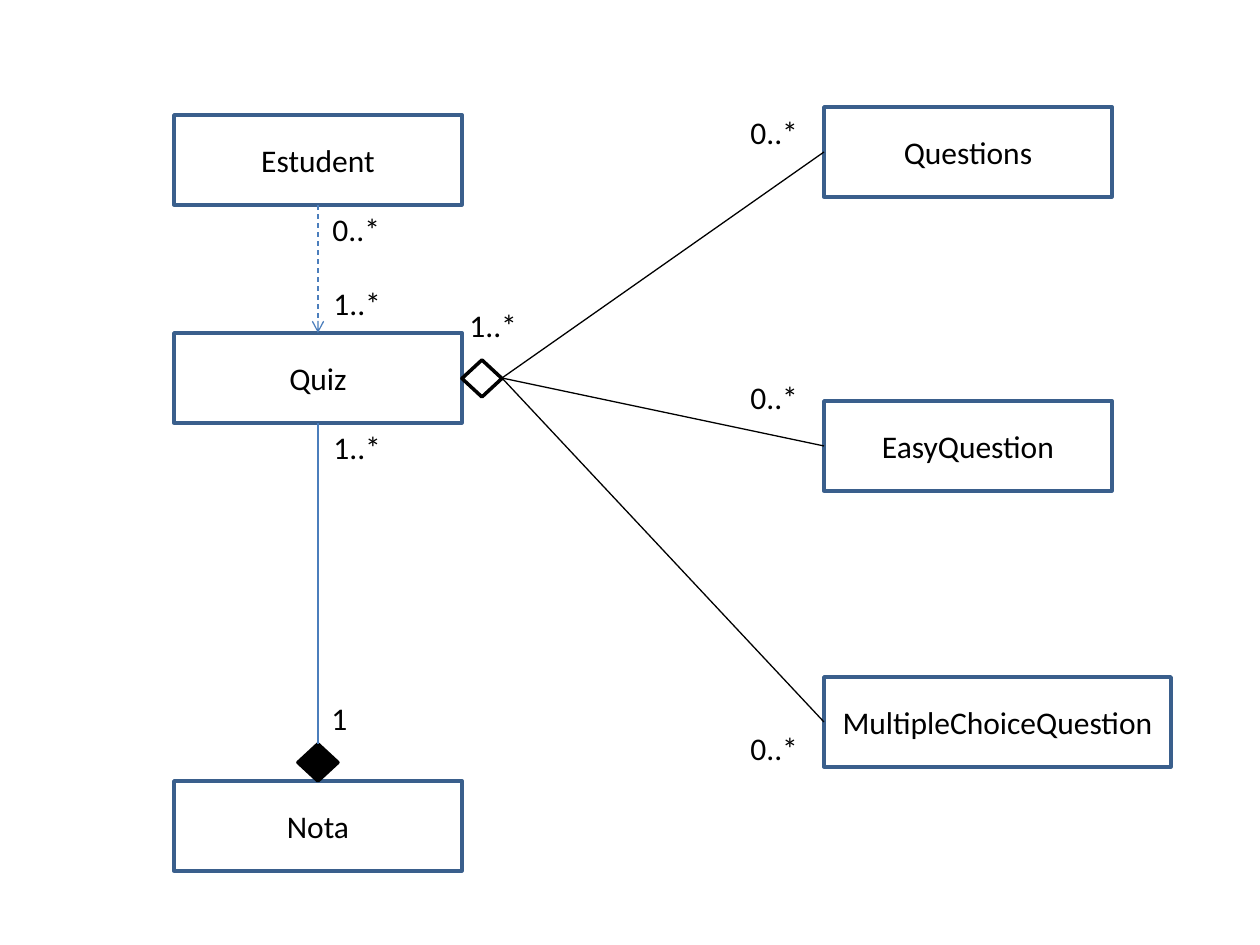
from typing import NamedTuple

from lxml import etree
from pptx import Presentation
from pptx.dml.color import RGBColor
from pptx.enum.dml import MSO_LINE
from pptx.enum.shapes import MSO_CONNECTOR, MSO_SHAPE
from pptx.enum.text import MSO_ANCHOR, MSO_AUTO_SIZE, PP_ALIGN
from pptx.oxml.ns import qn
from pptx.util import Pt

RECT = MSO_SHAPE.RECTANGLE
DIAMOND = MSO_SHAPE.FLOWCHART_DECISION
STRAIGHT = MSO_CONNECTOR.STRAIGHT
DASH = MSO_LINE.DASH
MIDDLE = MSO_ANCHOR.MIDDLE
CENTER = PP_ALIGN.CENTER
LEFT = PP_ALIGN.LEFT
GROW = MSO_AUTO_SIZE.SHAPE_TO_FIT_TEXT

EMU = 914400 / 126  # 126 px to the inch
BLACK, BORDER, BLUE = "000000", "3A5F8C", "4B7EBC"
BOX_W, BOX_H = 288, 90
GEM_W, GEM_H = 40, 37
LABEL_H = 50


class Box(NamedTuple):
    name: str
    x: int
    y: int
    w: int = BOX_W

    @property
    def mid_x(self) -> int:
        return self.x + self.w // 2

    @property
    def mid_y(self) -> int:
        return self.y + BOX_H // 2

    @property
    def base(self) -> int:
        return self.y + BOX_H


class Label(NamedTuple):
    text: str
    x: int
    y: int
    w: int


STUDENT = Box("Estudent", 174, 115)
QUIZ = Box("Quiz", 174, 333)
GRADE = Box("Nota", 174, 781)
KINDS = [
    Box("Questions", 824, 107),
    Box("EasyQuestion", 824, 401),
    Box("MultipleChoiceQuestion", 824, 677, 347),
]
LABELS = [
    Label("1..*", 321, 278, 89),
    Label("0..*", 320, 204, 84),
    Label("1..*", 457, 300, 89),
    Label("0..*", 738, 107, 84),
    Label("0..*", 738, 372, 84),
    Label("0..*", 738, 723, 84),
    Label("1..*", 321, 422, 89),
    Label("1", 319, 693, 47),
]


def px(*sizes: int) -> list[int]:
    return [round(size * EMU) for size in sizes]


def rgb(code: str) -> RGBColor:
    return RGBColor.from_string(code)


def write(frame, text: str, align) -> None:
    para = frame.paragraphs[0]
    para.alignment = align
    run = para.add_run()
    run.text = text
    run.font.name = "Calibri"
    run.font.size = Pt(18)
    run.font.color.rgb = rgb(BLACK)


def add_form(slide, kind, x: int, y: int, w: int, h: int, line: str, fill: str = ""):
    """Draw an outlined shape, hollow unless a fill is given."""
    form = slide.shapes.add_shape(kind, *px(x, y, w, h))
    form.shadow.inherit = False
    if fill:
        form.fill.solid()
        form.fill.fore_color.rgb = rgb(fill)
    else:
        form.fill.background()
    form.line.color.rgb = rgb(line)
    form.line.width = Pt(2)
    return form


def add_box(slide, box: Box) -> None:
    form = add_form(slide, RECT, box.x, box.y, box.w, BOX_H, BORDER)
    frame = form.text_frame
    frame.word_wrap = True
    frame.vertical_anchor = MIDDLE
    write(frame, box.name, CENTER)


def add_link(slide, x1: int, y1: int, x2: int, y2: int, color: str):
    link = slide.shapes.add_connector(STRAIGHT, *px(x1, y1, x2, y2))
    link.line.color.rgb = rgb(color)
    link.line.width = Pt(0.75)
    etree.SubElement(link._element.spPr, qn("a:effectLst"))
    return link


def add_label(slide, label: Label) -> None:
    area = slide.shapes.add_textbox(*px(label.x, label.y, label.w, LABEL_H))
    frame = area.text_frame
    frame.word_wrap = True
    frame.auto_size = GROW
    write(frame, label.text, LEFT)


def main() -> None:
    deck = Presentation()
    deck.slide_width, deck.slide_height = px(1260, 945)
    slide = deck.slides.add_slide(deck.slide_layouts[6])

    for box in [*KINDS, STUDENT, GRADE, QUIZ]:
        add_box(slide, box)

    uses = add_link(slide, STUDENT.mid_x, STUDENT.base, QUIZ.mid_x, QUIZ.y, BLUE)
    uses.line.dash_style = DASH
    etree.SubElement(uses.line._get_or_add_ln(), qn("a:tailEnd"), type="arrow")

    gem_y = GRADE.y - GEM_H
    gem_x = GRADE.mid_x - GEM_W // 2
    add_form(slide, DIAMOND, gem_x, gem_y, GEM_W, GEM_H, BLACK, BLACK)
    add_link(slide, QUIZ.mid_x, QUIZ.base, GRADE.mid_x, gem_y, BLUE)

    edge = QUIZ.x + QUIZ.w
    add_form(slide, DIAMOND, edge, QUIZ.mid_y - GEM_H // 2, GEM_W, GEM_H, BLACK)
    for box in KINDS:
        add_link(slide, box.x, box.mid_y, edge + GEM_W, QUIZ.mid_y, BLACK)

    for label in LABELS:
        add_label(slide, label)
    deck.save("out.pptx")


if __name__ == "__main__":
    main()
